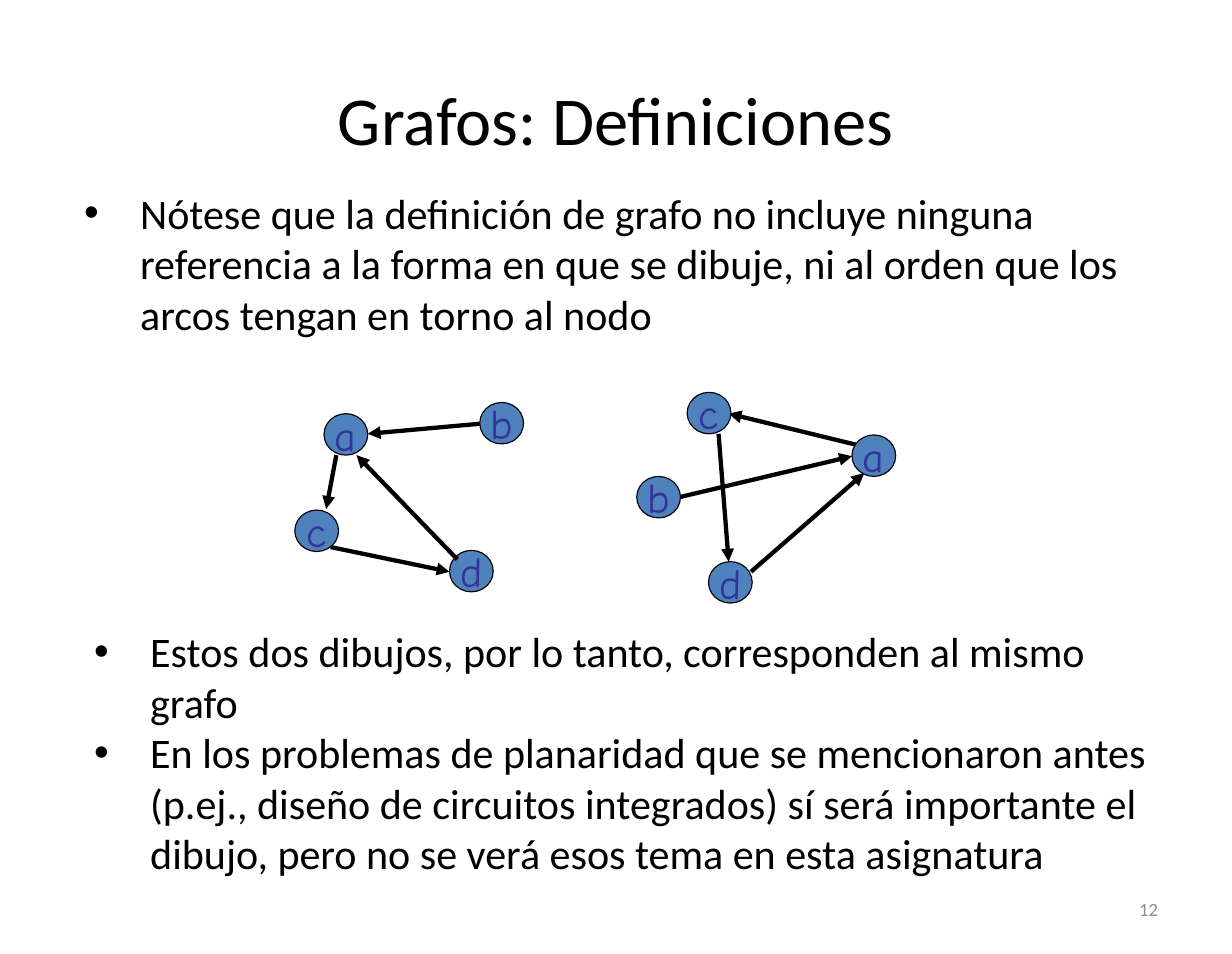
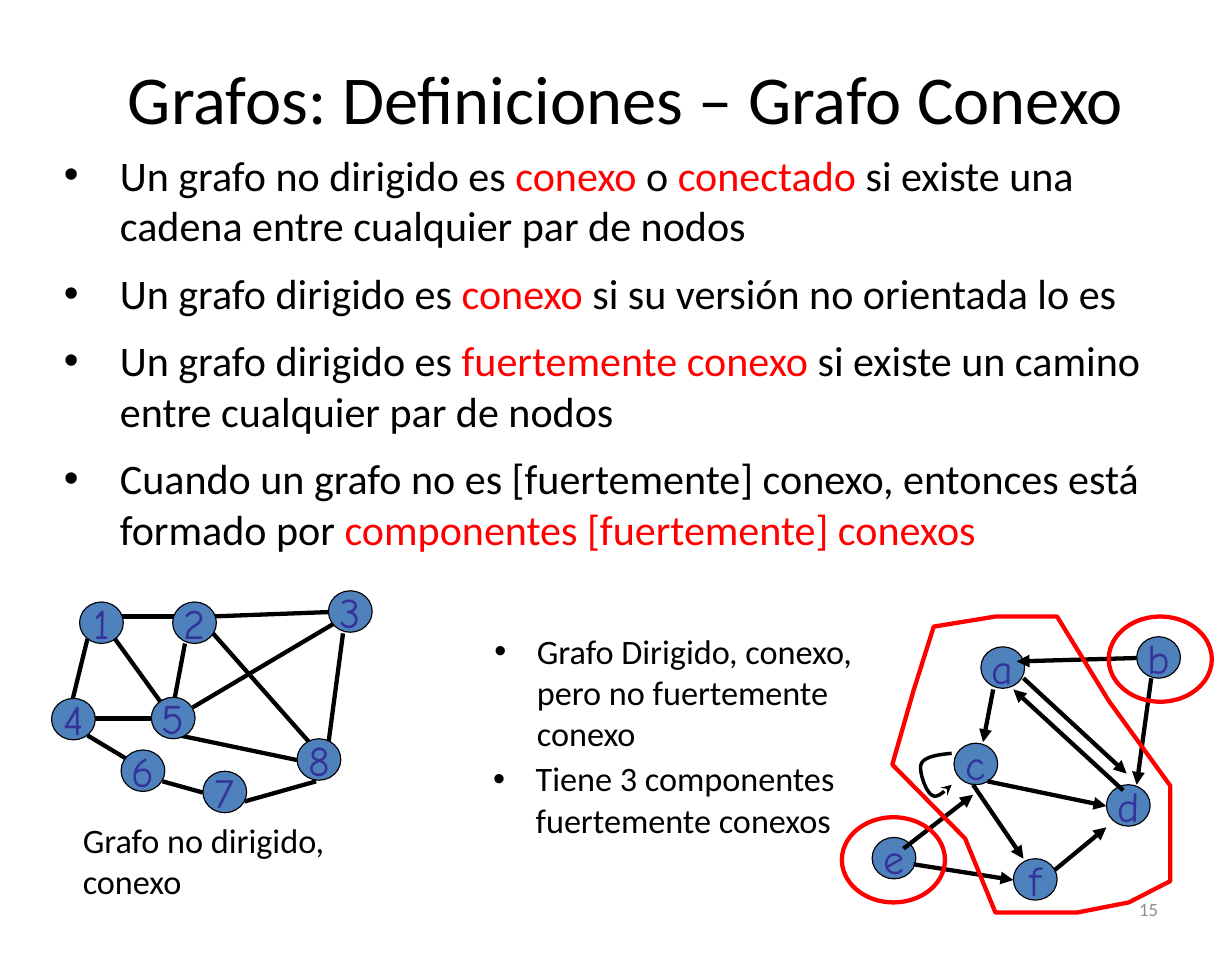
from lxml import etree
from pptx import Presentation
from pptx.dml.color import RGBColor
from pptx.enum.shapes import MSO_CONNECTOR, MSO_SHAPE
from pptx.enum.text import MSO_ANCHOR, PP_ALIGN
from pptx.oxml.ns import qn
from pptx.util import Inches, Pt

BLACK = RGBColor(0x00, 0x00, 0x00)
RED = RGBColor(0xFF, 0x00, 0x00)
GREY = RGBColor(0x8C, 0x8C, 0x8C)
NODE_FILL = RGBColor(0x4F, 0x81, 0xBD)
NODE_TEXT = RGBColor(0x33, 0x33, 0x99)
BODY_FONT, NODE_FONT = "Calibri", "Comic Neue"
TITLE_SIZE, BODY_SIZE, SMALL_SIZE, NUMBER_SIZE = 44, 27, 22, 12
NODE_W, NODE_H = 0.39, 0.37
EDGE_WIDTH = 2.75
WIDE_INSETS = (0.11, 0.06)
OVAL, STRAIGHT = MSO_SHAPE.OVAL, MSO_CONNECTOR.STRAIGHT
LEFT, CENTER, RIGHT = PP_ALIGN.LEFT, PP_ALIGN.CENTER, PP_ALIGN.RIGHT
TOP, MIDDLE = MSO_ANCHOR.TOP, MSO_ANCHOR.MIDDLE


def add_run(p, text, size, color=BLACK, font=BODY_FONT):
    r = p.add_run()
    r.text = text
    r.font.name, r.font.size, r.font.color.rgb = font, Pt(size), color


def set_bullet(p, indent):
    pPr = p._p.get_or_add_pPr()
    pPr.set("marL", str(Inches(indent)))
    pPr.set("indent", str(-Inches(indent)))
    etree.SubElement(pPr, qn("a:buFont")).set("typeface", "Arial")
    etree.SubElement(pPr, qn("a:buChar")).set("char", "•")


def add_text(slide, box, paragraphs, size, color=BLACK, align=LEFT, anchor=TOP,
             insets=(0.1, 0.05), bullet=None, gap=0):
    """Place paragraphs, each a list of strings or (string, colour) runs."""
    tf = slide.shapes.add_textbox(*map(Inches, box)).text_frame
    tf.word_wrap = True
    tf.vertical_anchor = anchor
    tf.margin_left = tf.margin_right = Inches(insets[0])
    tf.margin_top = tf.margin_bottom = Inches(insets[1])
    for i, runs in enumerate(paragraphs):
        p = tf.paragraphs[0] if i == 0 else tf.add_paragraph()
        p.alignment = align
        if i < len(paragraphs) - 1:
            p.space_after = Pt(gap)
        if bullet:
            set_bullet(p, bullet)
        for run in runs:
            text, run_color = (run, color) if isinstance(run, str) else run
            add_run(p, text, size, run_color)


def add_slide(prs, title, number, title_at):
    slide = prs.slides.add_slide(prs.slide_layouts[6])
    add_text(slide, (*title_at, 9.89, 1.42), [[title]], TITLE_SIZE,
             align=CENTER, anchor=MIDDLE)
    add_text(slide, (7.87, 7.88, 2.56, 0.45), [[number]], NUMBER_SIZE, GREY,
             align=RIGHT, anchor=MIDDLE)
    return slide


def set_line(sp, color, width, arrow=None):
    sp.line.color.rgb = color
    sp.line.width = Pt(width)
    if arrow:
        ln = sp.element.spPr.find(qn("a:ln"))
        etree.SubElement(ln, qn("a:tailEnd")).set("type", arrow)


def shift(origin, points):
    return [(Inches(origin[0] + x), Inches(origin[1] + y)) for x, y in points]


def add_nodes(slide, origin, nodes):
    for name, place in nodes.items():
        (x, y), = shift(origin, [place])
        sp = slide.shapes.add_shape(OVAL, x, y, Inches(NODE_W), Inches(NODE_H))
        sp.shadow.inherit = False
        sp.fill.solid()
        sp.fill.fore_color.rgb = NODE_FILL
        set_line(sp, BLACK, 0.75)
        tf = sp.text_frame
        tf.word_wrap = False
        tf.vertical_anchor = MIDDLE
        p = tf.paragraphs[0]
        p.alignment = CENTER
        add_run(p, name, BODY_SIZE, NODE_TEXT, NODE_FONT)


def add_edges(slide, origin, edges, arrow):
    for x1, y1, x2, y2 in edges:
        start, end = shift(origin, [(x1, y1), (x2, y2)])
        edge = slide.shapes.add_connector(STRAIGHT, *start, *end)
        set_line(edge, BLACK, EDGE_WIDTH, arrow)
        etree.SubElement(edge.element.spPr, qn("a:effectLst"))


def add_graph(slide, origin, nodes, edges, arrow="triangle", nodes_on_top=False):
    """Draw a graph with positions relative to origin; edges run source to target."""
    if nodes_on_top:
        add_edges(slide, origin, edges, arrow)
        add_nodes(slide, origin, nodes)
    else:
        add_nodes(slide, origin, nodes)
        add_edges(slide, origin, edges, arrow)


def add_outline(slide, origin, points, color, width, close=False, arrow=None):
    start, *rest = shift(origin, points)
    builder = slide.shapes.build_freeform(*start)
    builder.add_line_segments(rest, close=close)
    sp = builder.convert_to_shape()
    sp.shadow.inherit = False
    sp.fill.background()
    set_line(sp, color, width, arrow)


def bezier_points(start, curves, steps=12):
    """Sample a chain of cubic curves, each given by two controls and an end."""
    points = [start]
    for c1, c2, end in curves:
        p0 = points[-1]
        for i in range(1, steps + 1):
            t = i / steps
            u = 1 - t
            points.append(tuple(
                u**3 * a + 3 * u * u * t * b + 3 * u * t * t * c + t**3 * d
                for a, b, c, d in zip(p0, c1, c2, end)))
    return points


def add_components(slide, origin):
    """Circle the three strongly connected components in red."""
    outline = [(0.82, 0.09), (1.37, 0), (1.92, 0), (2.38, 0.75), (2.93, 1.51),
               (2.93, 2.36), (2.56, 2.55), (2.1, 2.64), (1.37, 2.64),
               (1.1, 1.98), (0.45, 1.32), (0.64, 0.66)]
    add_outline(slide, origin, outline, RED, EDGE_WIDTH, close=True)
    for x, y in shift(origin, [(2.38, 0), (0, 1.79)]):
        ring = slide.shapes.add_shape(OVAL, x, y, Inches(0.92), Inches(0.76))
        ring.shadow.inherit = False
        ring.fill.background()
        set_line(ring, RED, EDGE_WIDTH)


def add_undirected_graph(slide, origin):
    nodes = {"5": (0.89, 0.95), "7": (1.35, 1.61), "6": (0.62, 1.42),
             "1": (0.25, 0.1), "4": (0, 0.96), "3": (2.47, 0),
             "8": (2.19, 1.32), "2": (1.08, 0.1)}
    edges = [(1.26, 1.04, 2.54, 0.28), (0.34, 1.14, 0.99, 1.14),
             (0.99, 1.7, 1.35, 1.8), (0.53, 0.38, 1.08, 1.14),
             (1.72, 1.88, 2.36, 1.7), (0.58, 0.23, 1.09, 0.23),
             (0.77, 1.56, 0.32, 1.29), (0.19, 0.96, 0.32, 0.43),
             (1.19, 0.47, 1.1, 0.95), (1.44, 0.38, 2.36, 1.42),
             (1.4, 0.23, 2.47, 0.19), (2.19, 1.51, 1.14, 1.29),
             (2.45, 1.51, 2.6, 0.38)]
    add_graph(slide, origin, nodes, edges, arrow=None, nodes_on_top=True)
    x, y = origin
    add_text(slide, (x + 0.18, y + 1.99, 2.68, 0.84),
             [["Grafo no dirigido, conexo"]], SMALL_SIZE)


def add_directed_graph(slide, origin):
    nodes = {"a": (1.24, 0.27), "b": (2.63, 0.18), "f": (1.53, 2.16),
             "d": (2.36, 1.5), "c": (1, 1.13), "e": (0.27, 1.97)}
    edges = [(1.35, 0.65, 1.26, 1.12), (1.62, 0.55, 2.54, 1.4),
             (2.63, 0.37, 1.56, 0.4), (2.51, 1.55, 1.53, 0.65),
             (1.17, 1.5, 1.62, 2.16), (1.3, 1.47, 2.36, 1.69),
             (2.76, 0.55, 2.63, 1.5), (1.9, 2.26, 2.36, 1.88),
             (0.55, 2.07, 1.17, 1.59), (0.64, 2.21, 1.53, 2.35)]
    add_graph(slide, origin, nodes, edges)
    loop = bezier_points((0.98, 1.22), [
        ((0.86, 1.23), (0.74, 1.25), (0.71, 1.31)),
        ((0.68, 1.37), (0.75, 1.56), (0.8, 1.59)),
        ((0.85, 1.63), (0.91, 1.56), (0.98, 1.5))])
    add_outline(slide, origin, loop, BLACK, 2.25, arrow="stealth")
    add_components(slide, origin)


def build_drawings_slide(prs):
    slide = add_slide(prs, "Grafos: Definiciones", "12", (0.55, 0.34))
    add_text(slide, (0.64, 1.61, 9.61, 1.47), [
        ["Nótese que la definición de grafo no incluye ninguna referencia a la "
         "forma en que se dibuje, ni al orden que los arcos tengan en torno al nodo"],
    ], BODY_SIZE, insets=WIDE_INSETS, bullet=0.5)
    add_graph(slide, (2.63, 3.59),
              {"a": (0.26, 0.1), "b": (1.65, 0), "d": (1.38, 1.32), "c": (0, 0.96)},
              [(0.37, 0.47, 0.28, 0.95), (1.65, 0.19, 0.65, 0.28),
               (1.45, 1.4, 0.55, 0.47), (0.32, 1.29, 1.38, 1.51)])
    add_graph(slide, (5.68, 3.5),
              {"a": (1.92, 0.38), "b": (0, 0.75), "d": (0.64, 1.51), "c": (0.45, 0)},
              [(2.01, 0.48, 0.82, 0.19), (0.36, 0.94, 1.92, 0.57),
               (1.02, 1.6, 2.03, 0.72), (0.73, 0.37, 0.82, 1.51)],
              nodes_on_top=True)
    add_text(slide, (0.73, 5.52, 9.61, 2.38), [
        ["Estos dos dibujos, por lo tanto, corresponden al mismo grafo"],
        ["En los problemas de planaridad que se mencionaron antes (p.ej., diseño "
         "de circuitos integrados) sí será importante el dibujo, pero no se verá "
         "esos tema en esta asignatura"],
    ], BODY_SIZE, insets=WIDE_INSETS, bullet=0.5)


def build_connected_slide(prs):
    slide = add_slide(prs, "Grafos: Definiciones – Grafo Conexo", "15", (0.64, 0.16))
    add_text(slide, (0.46, 1.27, 9.98, 3.74), [
        ["Un grafo no dirigido es ", ("conexo", RED), " o ", ("conectado ", RED),
         "si existe una cadena entre cualquier par de nodos"],
        ["Un grafo dirigido es ", ("conexo", RED), " si su versión no orientada lo es"],
        ["Un grafo dirigido es ", ("fuertemente conexo ", RED),
         "si existe un camino entre cualquier par de nodos"],
        ["Cuando un grafo no es [fuertemente] conexo, entonces está formado por ",
         ("componentes [fuertemente] conexos", RED)],
    ], BODY_SIZE, insets=WIDE_INSETS, bullet=0.5, gap=11)
    add_undirected_graph(slide, (0.46, 5.27))
    add_directed_graph(slide, (7.51, 5.5))
    add_text(slide, (4.3, 5.56, 3.75, 1.22),
             [["Grafo Dirigido, conexo, pero no fuertemente conexo"]],
             SMALL_SIZE, insets=WIDE_INSETS, bullet=0.38)
    add_text(slide, (4.3, 6.71, 3.75, 0.87),
             [["Tiene 3 componentes fuertemente conexos"]], SMALL_SIZE, bullet=0.38)


def main():
    prs = Presentation()
    prs.slide_width, prs.slide_height = Inches(10.99), Inches(8.51)
    build_drawings_slide(prs)
    build_connected_slide(prs)
    prs.save("out.pptx")


if __name__ == "__main__":
    main()
